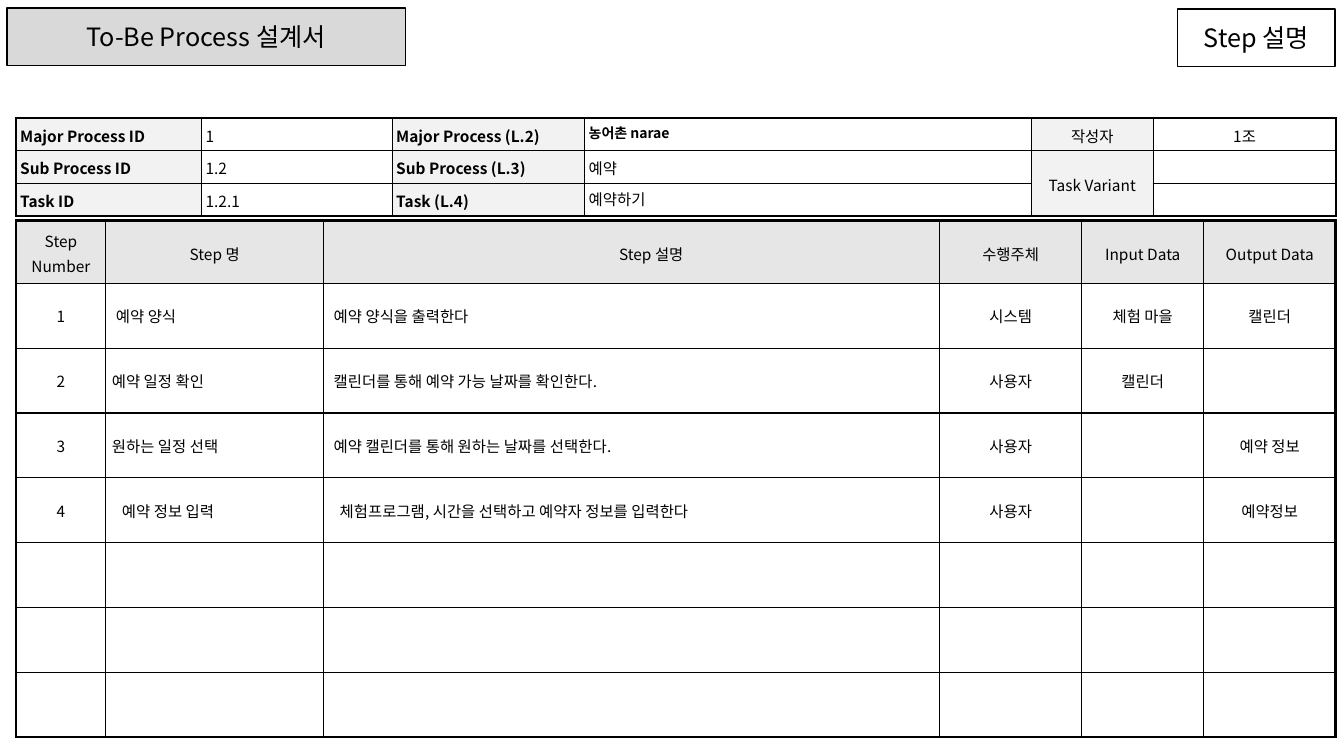
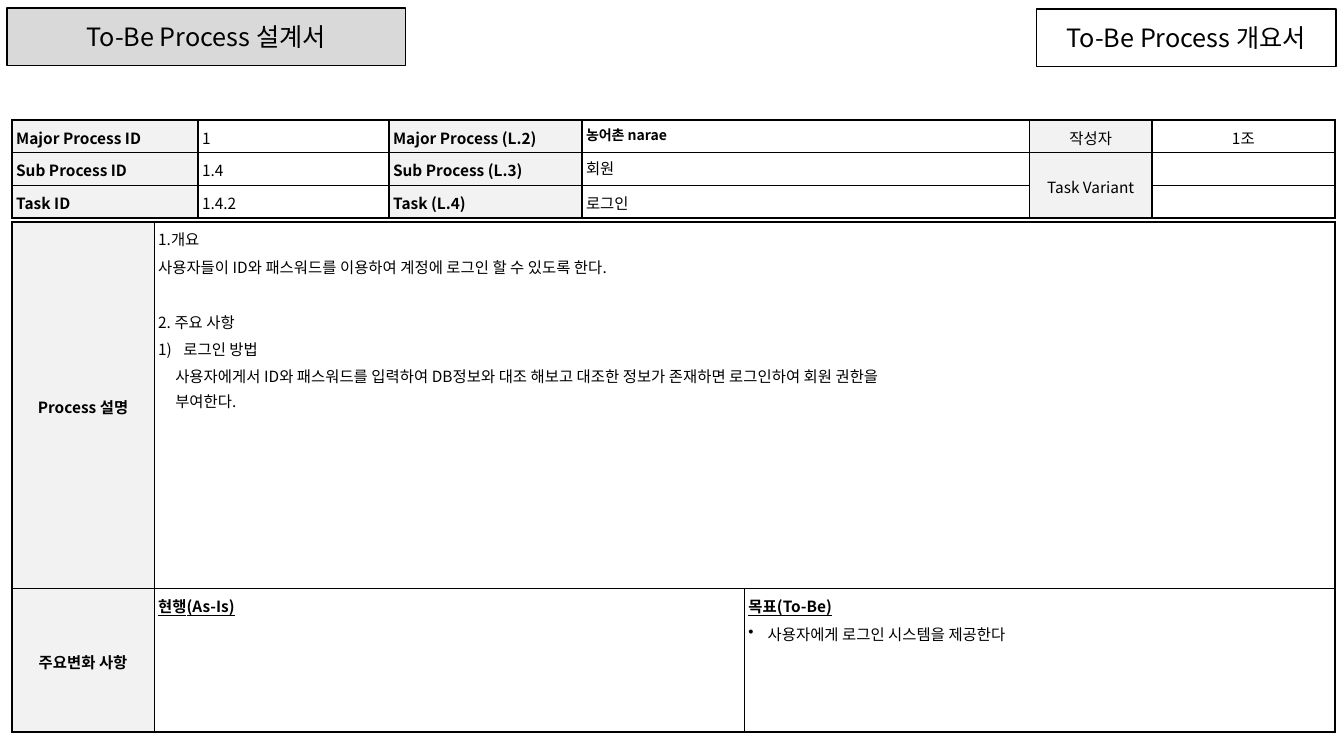
from lxml import etree
from pptx import Presentation
from pptx import util as u
from pptx.dml.color import RGBColor
from pptx.enum import shapes, text
from pptx.oxml.ns import qn

WIDE, HIGH = u.Inches(13.33), u.Inches(7.5)
FONT = "Noto Sans CJK KR"
INK, BAND, HEAD, LABEL, PAPER = "000000", "D9D9D9", "E6E6E6", "F2F2F2", "FFFFFF"
MID = text.PP_ALIGN.CENTER
EDGES = ("L", "R", "T", "B")


def hue(code):
    """Turn a hex string into a colour."""
    return RGBColor.from_string(code)


def area(left, top, width, height):
    """Turn percentages of the slide into a box."""
    return [round(part * full / 100) for part, full in
            ((left, WIDE), (top, HIGH), (width, WIDE), (height, HIGH))]


def node(root, tag, **attrs):
    """Append an XML child with attributes."""
    return etree.SubElement(root, qn(tag), {k: str(v) for k, v in attrs.items()})


def paint(thing, code):
    """Fill a shape or cell, or leave it clear."""
    if code:
        thing.fill.solid()
        thing.fill.fore_color.rgb = hue(code)
    else:
        thing.fill.background()


def say(par, words, size=11, bold=False, under=False, align=None,
        lead=1.1, gap=0, left=0, hang=0, mark=None):
    """Write and format one paragraph."""
    par.text = words
    par.alignment = align
    par.line_spacing = lead
    par.space_before = u.Pt(gap)
    props = par._p.get_or_add_pPr()
    props.set("marL", str(u.Inches(left)))
    props.set("indent", str(u.Inches(-hang)))
    if mark:
        node(props, "a:buChar", char=mark)
    if "\t" in words:
        node(node(props, "a:tabLst"), "a:tab", pos=u.Inches(left), algn="l")
    font = par.font
    font.size, font.bold, font.underline = u.Pt(size), bold, under
    font.color.rgb = hue(INK)
    font.name = FONT
    node(props.find(qn("a:defRPr")), "a:ea", typeface=FONT)


def rule(cell, edge, width):
    """Draw one border of a cell."""
    line = node(cell._tc.get_or_add_tcPr(), "a:ln" + edge, w=u.Pt(width))
    node(node(line, "a:solidFill"), "a:srgbClr", val=INK)


def grid(slide, box, cols, rows, rim, merge=None, heavy=()):
    """Add a ruled table whose columns and rows share its box by weight."""
    table = slide.shapes.add_table(len(rows), len(cols), *box).table
    table.first_row = table.horz_banding = False
    for lines, sizes, full, name in ((table.columns, cols, box[2], "width"),
                                     (table.rows, rows, box[3], "height")):
        for line, size in zip(lines, sizes):
            setattr(line, name, round(full * size / sum(sizes)))
    if merge:
        first, last = merge
        table.cell(*first).merge(table.cell(*last))
    for r in range(len(rows)):
        for c in range(len(cols)):
            cell = table.cell(r, c)
            ends = (c == 0, c + cell.span_width >= len(cols),
                    r == 0, r + cell.span_height >= len(rows))
            thick = (ends[0], ends[1], ends[2] or (r - 1, c) in heavy,
                     ends[3] or (r, c) in heavy)
            for edge, bold in zip(EDGES, thick):
                if bold or not cell.is_spanned:
                    rule(cell, edge, rim if bold else 1)
    return table


def put(cell, *pars, fill=None, mid=False, side=0.04):
    """Fill a cell with (words, look) paragraphs."""
    paint(cell, fill)
    cell.margin_left = cell.margin_right = u.Inches(side)
    cell.margin_top = cell.margin_bottom = u.Inches(0.04)
    cell.vertical_anchor = text.MSO_ANCHOR.MIDDLE if mid else text.MSO_ANCHOR.TOP
    for i, (words, look) in enumerate(pars):
        frame = cell.text_frame
        say(frame.add_paragraph() if i else frame.paragraphs[0], words, **look)


def plate(shape, box, words, fill=None):
    """Place an outlined heading plate."""
    shape.left, shape.top, shape.width, shape.height = box
    paint(shape, fill)
    shape.line.color.rgb = hue(INK)
    shape.line.width = u.Pt(1)
    frame = shape.text_frame
    frame.word_wrap = True
    frame.auto_size = text.MSO_AUTO_SIZE.NONE
    frame.vertical_anchor = text.MSO_ANCHOR.MIDDLE
    say(frame.paragraphs[0], words, size=18, align=MID, lead=1)


def page(deck, name, box):
    """Start a slide with the shared band and its own title."""
    slide = deck.slides.add_slide(deck.slide_layouts[5])
    spot = area(0.53, 1.07, 29.63, 7.6)
    band = slide.shapes.add_shape(shapes.MSO_SHAPE.RECTANGLE, *spot)
    band.shadow.inherit = False
    plate(band, spot, "To-Be Process 설계서", BAND)
    plate(slide.shapes.title, box, name)
    return slide


def info(slide, box, codes, names, tight, heavy=()):
    """Add the process identification table."""
    table = grid(slide, box, (1.84, 1.89, 1.91, 4.43, 1.21, 1.81), (1, 1, 1),
                 1.5, ((1, 4), (2, 4)), heavy)
    tags = ("Major Process ID", "Sub Process ID", "Task ID")
    kinds = ("Major Process (L.2)", "Sub Process (L.3)", "Task (L.4)")
    roles = ("작성자", "Task Variant", "")
    whos = ("1조", "", "")
    for r, row in enumerate(zip(tags, codes, kinds, names, roles, whos)):
        for c, words in enumerate(row):
            cell = table.cell(r, c)
            if cell.is_spanned:
                continue
            top = (r, c) == (0, 3)
            look = dict(bold=c in (0, 2) or top, size=10 if top else 11,
                        align=MID if c > 3 else None,
                        lead=1 if c == 3 and r in tight else 1.1)
            put(cell, (words, look), fill=LABEL if c in (0, 2, 4) else None,
                mid=c > 3)


def steps(slide, box, heads, items, count):
    """Add the step table, with spare rows up to the count."""
    table = grid(slide, box, (0.89, 2.16, 6.11, 1.41, 1.21, 1.31),
                 [0.62] + [0.64] * count, 2.25)
    for c, words in enumerate(heads):
        look = dict(align=MID, left=0.39 if c == 2 else 0)
        put(table.cell(0, c), (words, look), fill=HEAD, mid=True, side=0.06)
    spare = [("",) * len(heads)] * (count - len(items))
    shifts = {(1, 1): 0.04, (4, 1): 0.1, (4, 2): 0.1}
    for r, row in enumerate(items + spare, 1):
        for c, words in enumerate(row):
            look = dict(align=None if c in (1, 2) else MID, lead=1,
                        left=shifts.get((r, c), 0.04 if c == 2 else 0))
            put(table.cell(r, c), (words, look), mid=True, side=0.06)


def outline(slide, box, notes, now, goal):
    """Add the description and main changes table."""
    table = grid(slide, box, (1.41, 5.86, 5.86), (3.64, 1.42), 1.5,
                 ((0, 1), (0, 2)))
    for r, words in enumerate(("Process 설명", "주요변화 사항")):
        put(table.cell(r, 0), (words, dict(bold=True, align=MID)),
            fill=LABEL, mid=True)
    for spot, pars in (((0, 1), notes), ((1, 1), now), ((1, 2), goal)):
        put(table.cell(*spot), *pars, fill=PAPER)


def main():
    """Build the two slides and save them."""
    deck = Presentation()
    deck.slide_width, deck.slide_height = WIDE, HIGH

    slide = page(deck, "Step 설명", area(87.62, 1.2, 11.7, 7.6))
    info(slide, area(1.2, 15.6, 98.2, 12.53), ("1", "1.2", "1.2.1"),
         ("농어촌 narae", "예약", "예약하기"), (0, 2), ((0, 4), (0, 5)))
    steps(slide, area(1.2, 29.2, 98.2, 68.27),
          ("Step Number", "Step 명", "Step 설명", "수행주체",
           "Input Data", "Output Data"),
          [("1", "예약 양식", "예약 양식을 출력한다", "시스템", "체험 마을", "캘린더"),
           ("2", "예약 일정 확인", "캘린더를 통해 예약 가능 날짜를 확인한다.",
            "사용자", "캘린더", ""),
           ("3", "원하는 일정 선택", "예약 캘린더를 통해 원하는 날짜를 선택한다.",
            "사용자", "", "예약 정보"),
           ("4", "예약 정보 입력", "체험프로그램, 시간을 선택하고 예약자 정보를 입력한다",
            "사용자", "", "예약정보")], 7)

    slide = page(deck, "To-Be Process 개요서", area(77.12, 1.2, 22.28, 7.6))
    info(slide, area(0.9, 15.87, 98.42, 12.53), ("1", "1.4", "1.4.2"),
         ("농어촌 narae", "회원", "로그인"), (0, 1))
    head = dict(bold=True, under=True)
    outline(slide, area(0.9, 29.33, 98.42, 67.47),
            [("1.개요", {}),
             ("사용자들이 ID와 패스워드를 이용하여 계정에 로그인 할 수 있도록 한다.",
              dict(gap=2)),
             ("2. 주요 사항", dict(gap=21.6)),
             ("1)\t로그인 방법", dict(gap=2, left=0.25, hang=0.25)),
             ("사용자에게서 ID와 패스워드를 입력하여 DB정보와 대조 해보고 "
              "대조한 정보가 존재하면 로그인하여 회원 권한을\v부여한다.",
              dict(gap=2, left=0.17))],
            [("현행(As-Is)", head)],
            [("목표(To-Be)", head),
             ("사용자에게 로그인 시스템을 제공한다",
              dict(gap=2.2, left=0.19, hang=0.19, mark="•"))])
    deck.save("out.pptx")


if __name__ == "__main__":
    main()
